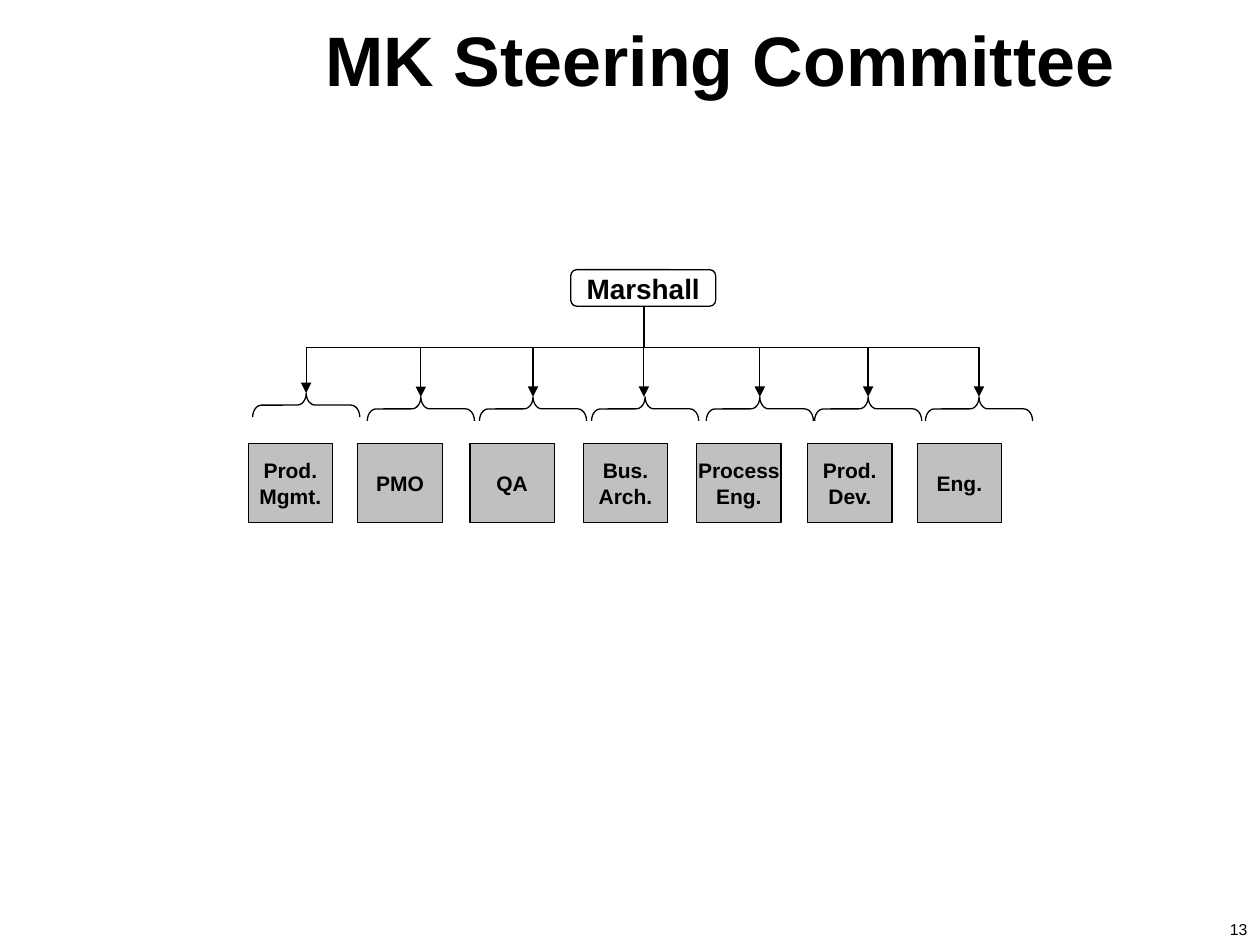
from dataclasses import dataclass

from lxml import etree
from pptx import Presentation
from pptx.dml.color import RGBColor
from pptx.enum.shapes import MSO_CONNECTOR, MSO_SHAPE
from pptx.enum.text import MSO_ANCHOR, PP_ALIGN
from pptx.oxml.ns import qn
from pptx.util import Inches, Pt

RECTANGLE = MSO_SHAPE.RECTANGLE
ROUNDED = MSO_SHAPE.FLOWCHART_ALTERNATE_PROCESS
BRACE = MSO_SHAPE.LEFT_BRACE
STRAIGHT, ELBOW = MSO_CONNECTOR.STRAIGHT, MSO_CONNECTOR.ELBOW
TOP, MIDDLE, BOTTOM = MSO_ANCHOR.TOP, MSO_ANCHOR.MIDDLE, MSO_ANCHOR.BOTTOM
CENTER = PP_ALIGN.CENTER

BLACK, WHITE, GREY, SHADOW = "000000", "FFFFFF", "C0C0C0", "808080"
FONT = "Arial"
LINE_WIDTH = 0.75

# Levels of the chart, in inches
TRUNK_X, LEAD_BOTTOM, BUS_Y = 5.11, 2.43, 2.76
BOX_TOP, BOX_WIDTH, BOX_HEIGHT = 3.52, 0.67, 0.63
BRACE_DEPTH, BRACE_SPAN = 0.19, 0.85


@dataclass
class Department:
    lines: tuple[str, ...]
    box_left: float
    tip_x: float
    tip_y: float = 3.15
    link: str = "trunk"  # trunk: from the lead; bus: from the bus; straight: down


DEPARTMENTS = (
    Department(("Prod.", "Mgmt."), 1.97, 2.43, tip_y=3.12),
    Department(("PMO",), 2.84, 3.34, link="bus"),
    Department(("QA",), 3.73, 4.23),
    Department(("Bus.", "Arch."), 4.63, 5.12, link="straight"),
    Department(("Process", "Eng."), 5.53, 6.03),
    Department(("Prod.", "Dev."), 6.41, 6.89, link="bus"),
    Department(("Eng.",), 7.28, 7.77),
)


def rgb(color: str) -> RGBColor:
    return RGBColor.from_string(color)


def write(shape, lines: tuple[str, ...], size: float, bold: bool = True,
          anchor=MIDDLE, wrap: bool = False) -> None:
    frame = shape.text_frame
    frame.word_wrap = wrap
    frame.vertical_anchor = anchor
    for index, line in enumerate(lines):
        paragraph = frame.paragraphs[0] if index == 0 else frame.add_paragraph()
        paragraph.alignment = CENTER
        run = paragraph.add_run()
        run.text = line
        run.font.name, run.font.size, run.font.bold = FONT, Pt(size), bold
        run.font.color.rgb = rgb(BLACK)


def set_outline(shape) -> None:
    shape.line.color.rgb = rgb(BLACK)
    shape.line.width = Pt(LINE_WIDTH)


def add_box(slide, kind, left: float, top: float, width: float, height: float,
            fill: str, lines: tuple[str, ...], size: float) -> None:
    box = slide.shapes.add_shape(kind, Inches(left), Inches(top),
                                 Inches(width), Inches(height))
    box.shadow.inherit = False
    box.fill.solid()
    box.fill.fore_color.rgb = rgb(fill)
    set_outline(box)
    write(box, lines, size)


def add_brace(slide, tip_x: float, tip_y: float) -> None:
    """A left brace turned a quarter so that its tip points up."""
    center_y = tip_y + BRACE_DEPTH / 2
    brace = slide.shapes.add_shape(
        BRACE, Inches(tip_x - BRACE_DEPTH / 2), Inches(center_y - BRACE_SPAN / 2),
        Inches(BRACE_DEPTH), Inches(BRACE_SPAN))
    brace.rotation = 90
    brace.adjustments[0] = 0.37
    brace.shadow.inherit = False
    brace.fill.background()
    set_outline(brace)


def add_arrow(slide, kind, left: float, top: float, right: float, bottom: float):
    arrow = slide.shapes.add_connector(kind, Inches(left), Inches(top),
                                       Inches(right), Inches(bottom))
    set_outline(arrow)
    etree.SubElement(arrow.line._get_or_add_ln(), qn("a:tailEnd"), type="triangle")
    etree.SubElement(arrow._element.spPr, qn("a:effectLst"))
    return arrow


def orient(arrow, degrees: int, flip: str = "") -> None:
    frame = arrow._element.spPr.find(qn("a:xfrm"))
    frame.set("rot", str(degrees * 60000))
    if flip:
        frame.set(flip, "1")


def add_trunk_link(slide, tip_x: float, tip_y: float) -> None:
    """Down from the lead, along the bus, then down to the brace."""
    drop, reach = tip_y - LEAD_BOTTOM, abs(tip_x - TRUNK_X)
    center_x, center_y = (TRUNK_X + tip_x) / 2, (LEAD_BOTTOM + tip_y) / 2
    arrow = add_arrow(slide, ELBOW, center_x - drop / 2, center_y - reach / 2,
                      center_x + drop / 2, center_y + reach / 2)
    if tip_x < TRUNK_X:
        orient(arrow, 90)
    else:
        orient(arrow, 270, "flipH")
    bend = round((BUS_Y - LEAD_BOTTOM) / drop * 100000)
    guides = arrow._element.spPr.find(qn("a:prstGeom")).get_or_add_avLst()
    etree.SubElement(guides, qn("a:gd"), name="adj1", fmla=f"val {bend}")


def add_bus_link(slide, tip_x: float, tip_y: float) -> None:
    """Along the bus, then down to the brace."""
    arrow = add_arrow(slide, ELBOW, min(TRUNK_X, tip_x), BUS_Y,
                      max(TRUNK_X, tip_x), tip_y)
    arrow._element.spPr.find(qn("a:prstGeom")).set("prst", "bentConnector2")
    if tip_x < TRUNK_X:
        orient(arrow, 180, "flipV")


def add_department(slide, department: Department) -> None:
    tip = department.tip_x, department.tip_y
    add_box(slide, RECTANGLE, department.box_left, BOX_TOP, BOX_WIDTH, BOX_HEIGHT,
            GREY, department.lines, 12)
    add_brace(slide, *tip)
    if department.link == "trunk":
        add_trunk_link(slide, *tip)
    elif department.link == "bus":
        add_bus_link(slide, *tip)
    else:
        add_arrow(slide, STRAIGHT, TRUNK_X, BUS_Y, TRUNK_X, department.tip_y)


def add_title(slide, text: str) -> None:
    title = slide.shapes.title
    title.left, title.top = Inches(1.43), Inches(0.08)
    title.width, title.height = Inches(8.57), Inches(0.77)
    write(title, (text,), 40, anchor=TOP, wrap=True)
    # Grey shadow behind the letters
    properties = title.text_frame.paragraphs[0].runs[0].font._element
    effects = etree.Element(qn("a:effectLst"))
    shadow = etree.SubElement(effects, qn("a:outerShdw"), dist="35921", dir="2700000")
    etree.SubElement(shadow, qn("a:srgbClr"), val=SHADOW)
    properties.find(qn("a:solidFill")).addnext(effects)


def main() -> None:
    deck = Presentation()
    deck.slide_width, deck.slide_height = Inches(10), Inches(7.5)
    slide = deck.slides.add_slide(deck.slide_layouts[5])

    # Title and page number
    add_title(slide, "MK Steering Committee")
    page_number = slide.shapes.add_textbox(Inches(9.62), Inches(6.99),
                                           Inches(0.42), Inches(0.51))
    write(page_number, ("13",), 9, bold=False, anchor=BOTTOM)

    # Lead and departments
    add_box(slide, ROUNDED, 4.53, 2.14, 1.15, 0.29, WHITE, ("Marshall",), 16)
    for department in DEPARTMENTS:
        add_department(slide, department)

    deck.save("out.pptx")


if __name__ == "__main__":
    main()
